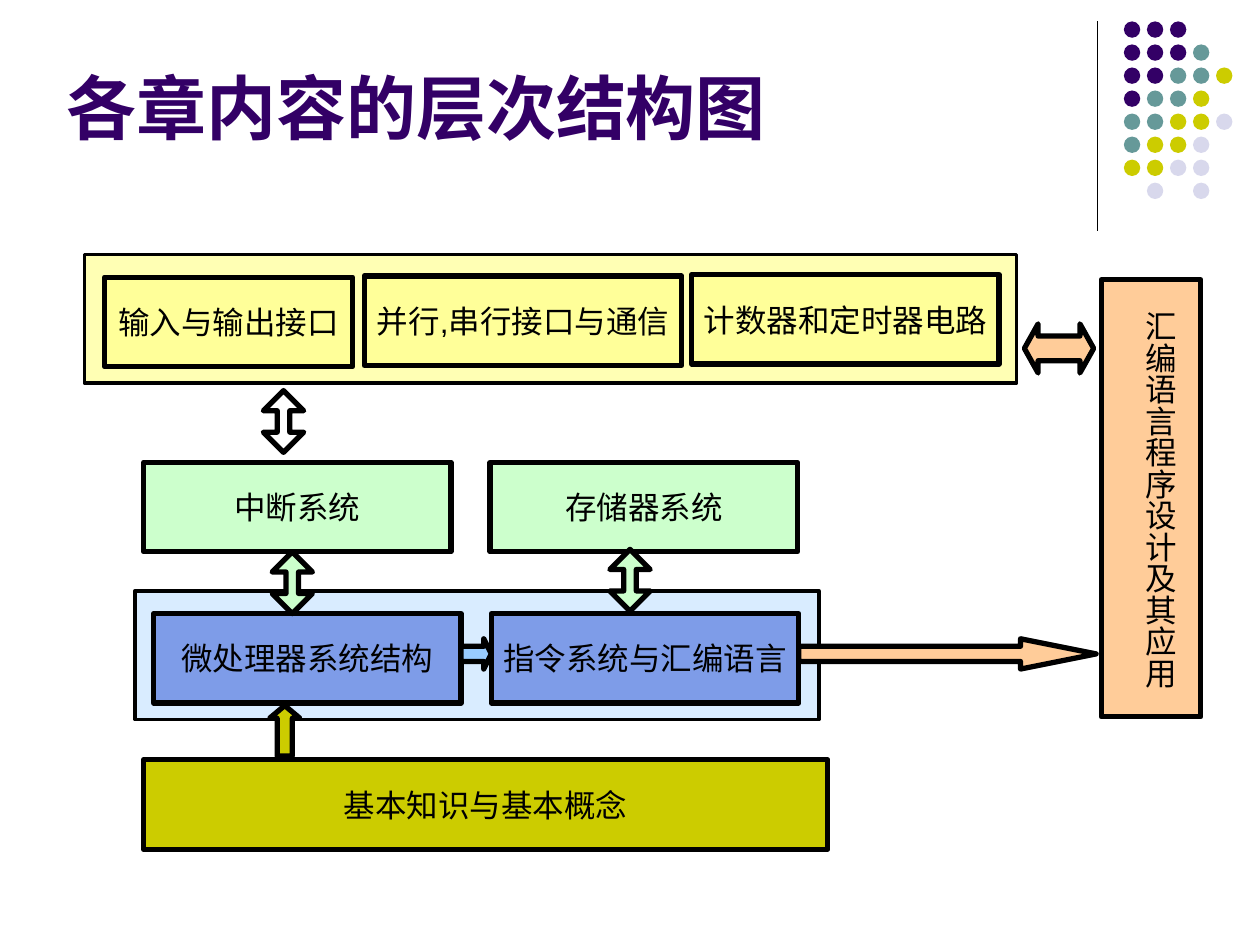
from lxml import etree
from pptx import Presentation
from pptx.dml.color import RGBColor
from pptx.enum.shapes import MSO_CONNECTOR, MSO_SHAPE as Shape
from pptx.enum.text import MSO_ANCHOR as Anchor, PP_ALIGN as Align
from pptx.oxml.ns import qn
from pptx.util import Inches, Pt

BLACK, PURPLE, TEAL, OLIVE = "000000", "330066", "669999", "CCCC00"
LAVENDER, YELLOW, GREEN, BLUE = "D8D8EC", "FFFF99", "CCFFCC", "7E9CE8"
SKY, PEACH, WHITE = "99CCFF", "FFCC99", "FFFFFF"

DOT_COLORS = {"P": PURPLE, "T": TEAL, "O": OLIVE, "L": LAVENDER}
DOT_ROWS = ["PPP", "PPPT", "PPTTO", "PTTO", "TTOOL", "TOOL", "OOLL", " L L"]

PANELS = [
    ((0.67, 2.02, 7.4, 1.02), YELLOW, 73),
    ((1.07, 4.69, 5.43, 1.02), SKY, 37),
]
CHAPTERS = [
    ("基本知识与基本概念", (1.14, 6.03, 5.43, 0.71), OLIVE),
    ("微处理器系统结构", (1.22, 4.87, 2.44, 0.71), BLUE),
    ("输入与输出接口", (0.83, 2.2, 1.97, 0.71), YELLOW),
    ("中断系统", (1.14, 3.67, 2.44, 0.71), GREEN),
    ("计数器和定时器电路", (5.49, 2.18, 2.44, 0.71), YELLOW),
    ("指令系统与汇编语言", (3.9, 4.87, 2.44, 0.71), BLUE),
    ("并行,串行接口与通信", (2.89, 2.19, 2.52, 0.71), YELLOW),
    ("存储器系统", (3.89, 3.67, 2.44, 0.71), GREEN),
]
ARROWS = [
    (Shape.UP_DOWN_ARROW, (4.84, 4.36, 0.32, 0.49), GREEN, 0.31),
    (Shape.RIGHT_ARROW, (6.34, 5.07, 2.36, 0.24), PEACH, 2.5),
    (Shape.UP_ARROW, (2.14, 5.6, 0.24, 0.4), OLIVE, 0.42),
    (Shape.RIGHT_ARROW, (3.66, 5.07, 0.24, 0.24), SKY, 0.25),
    (Shape.UP_DOWN_ARROW, (2.16, 4.38, 0.32, 0.49), GREEN, 0.31),
    (Shape.UP_DOWN_ARROW, (2.09, 3.1, 0.32, 0.49), WHITE, 0.31),
    (Shape.LEFT_RIGHT_ARROW, (8.13, 2.57, 0.55, 0.39), PEACH, 0.28),
]


def rgb(color):
    """Turn a hex string into a colour."""
    return RGBColor.from_string(color)


def add_figure(slide, kind, box, fill, line_width=0):
    """Add a flat preset shape with an optional black outline."""
    shape = slide.shapes.add_shape(kind, *map(Inches, box))
    shape.shadow.inherit = False
    shape.fill.solid()
    shape.fill.fore_color.rgb = rgb(fill)
    if line_width:
        shape.line.color.rgb = rgb(BLACK)
        shape.line.width = Pt(line_width)
    else:
        shape.line.fill.background()
    return shape


def write(shape, text, size=18, color=BLACK, bold=False, align=Align.LEFT,
          anchor=Anchor.TOP, wrap=True):
    """Put one formatted paragraph into a shape."""
    frame = shape.text_frame
    frame.text = text
    frame.word_wrap = wrap
    frame.vertical_anchor = anchor
    paragraph = frame.paragraphs[0]
    paragraph.alignment = align
    font = paragraph.runs[0].font
    font.name, font.size, font.bold = "Arial", Pt(size), bold
    font.color.rgb = rgb(color)


def add_title(slide, text):
    """Add the slide heading."""
    box = slide.shapes.add_textbox(*map(Inches, (0.43, 0.44, 8.25, 0.79)))
    write(box, text, 40, PURPLE, True, anchor=Anchor.BOTTOM)


def add_decoration(slide):
    """Add the thin rule and the grid of dots in the corner."""
    rule = slide.shapes.add_connector(
        MSO_CONNECTOR.STRAIGHT, Inches(8.71), Inches(0.17), Inches(8.71), Inches(1.83))
    rule.line.color.rgb = rgb(BLACK)
    rule.line.width = Pt(0.75)
    etree.SubElement(rule._element.spPr, qn("a:effectLst"))
    pitch = 1.28 / 7
    for row, codes in enumerate(DOT_ROWS):
        for column, code in enumerate(codes):
            if code in DOT_COLORS:
                box = (8.92 + column * pitch, 0.17 + row * pitch, 0.13, 0.13)
                add_figure(slide, Shape.OVAL, box, DOT_COLORS[code])


def add_panel(slide, box, fill, opacity):
    """Add a translucent panel that groups chapters."""
    panel = add_figure(slide, Shape.RECTANGLE, box, fill, 2)
    color = panel._element.spPr.find(qn("a:solidFill"))[0]
    etree.SubElement(color, qn("a:alpha"), val=str(opacity * 1000))


def add_chapter(slide, text, box, fill):
    """Add an outlined box with a centred chapter name."""
    chapter = add_figure(slide, Shape.RECTANGLE, box, fill, 3)
    write(chapter, text, align=Align.CENTER, anchor=Anchor.MIDDLE, wrap=False)


def add_vertical_chapter(slide, text):
    """Add the tall box whose text runs downwards."""
    add_figure(slide, Shape.RECTANGLE, (8.74, 2.22, 0.79, 3.47), PEACH, 3)
    label = add_figure(slide, Shape.RECTANGLE, (8.91, 2.37, 0.5, 3.22), PEACH)
    write(label, text)
    frame = label.text_frame
    frame.margin_left = frame.margin_right = Inches(0.05)
    frame.margin_top = frame.margin_bottom = Inches(0.1)
    frame._txBody.bodyPr.set("vert", "eaVert")


def add_arrow(slide, kind, box, fill, head):
    """Add a block arrow with the given head length."""
    arrow = add_figure(slide, kind, box, fill, 3)
    arrow.adjustments[0] = 0.5
    arrow.adjustments[1] = head


def main():
    """Build the chapter structure slide."""
    presentation = Presentation()
    presentation.slide_width, presentation.slide_height = Inches(10), Inches(7.5)
    slide = presentation.slides.add_slide(presentation.slide_layouts[6])
    add_decoration(slide)
    for panel in PANELS:
        add_panel(slide, *panel)
    add_title(slide, "各章内容的层次结构图")
    for chapter in CHAPTERS:
        add_chapter(slide, *chapter)
    add_vertical_chapter(slide, "汇编语言程序设计及其应用")
    for arrow in ARROWS:
        add_arrow(slide, *arrow)
    presentation.save("out.pptx")


if __name__ == "__main__":
    main()
